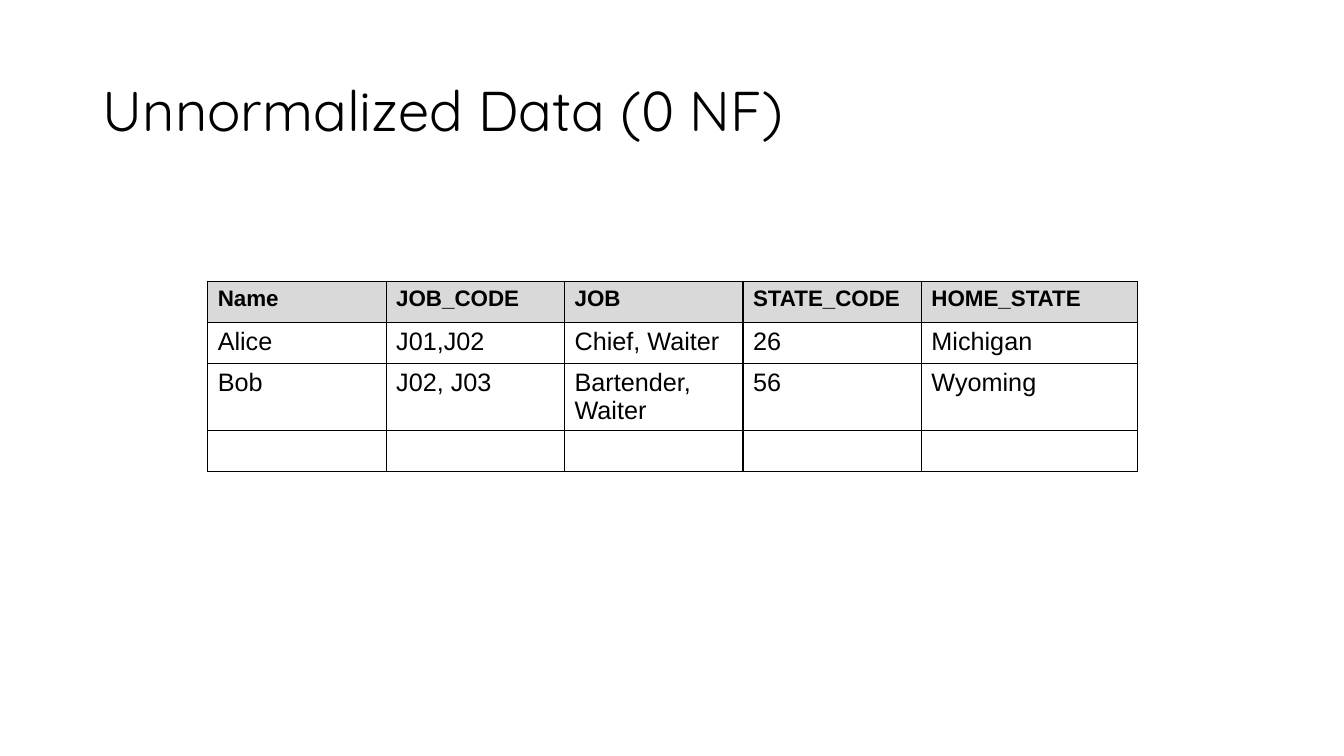
from lxml import etree
from pptx import Presentation
from pptx.dml.color import RGBColor
from pptx.enum import text
from pptx.oxml import ns
from pptx.util import Pt

PX = 9144  # 100 px to the inch
COLORS = {"ink": "000000", "head": "D9D9D9"}
COLS = [177, 177, 177, 177, 214]
ROWS = [41, 41, 66, 41]
DATA = [
    ["Name", "JOB_CODE", "JOB", "STATE_CODE", "HOME_STATE"],
    ["Alice", "J01,J02", "Chief, Waiter", "26", "Michigan"],
    ["Bob", "J02, J03", "Bartender, Waiter", "56", "Wyoming"],
    [""] * 5,
]


def px(*sizes):
    return [size * PX for size in sizes]


def color(name):
    return RGBColor.from_string(COLORS[name])


def style(font, face, size, bold=False):
    font.name, font.size, font.bold = face, Pt(size), bold
    font.color.rgb = color("ink")


def add_title(slide, words):
    title = slide.shapes.title
    title.left, title.top, title.width, title.height = px(92, 40, 945, 145)
    frame = title.text_frame
    frame.text = words
    frame.vertical_anchor = text.MSO_ANCHOR.MIDDLE
    par = frame.paragraphs[0]
    par.alignment = text.PP_ALIGN.LEFT
    par.line_spacing = 0.9
    style(par.runs[0].font, "Quicksand", 40)


def add_border(cell):
    props = cell._tc.get_or_add_tcPr()
    for side in ("lnL", "lnR", "lnT", "lnB"):
        line = etree.SubElement(props, ns.qn("a:" + side), w=str(Pt(1)))
        fill = etree.SubElement(line, ns.qn("a:solidFill"))
        etree.SubElement(fill, ns.qn("a:srgbClr"), val=COLORS["ink"])


def fill_cell(cell, words, head):
    add_border(cell)
    if head:
        cell.fill.solid()
        cell.fill.fore_color.rgb = color("head")
    else:
        cell.fill.background()
    cell.text_frame.text = words
    par = cell.text_frame.paragraphs[0]
    for run in par.runs:
        style(run.font, "Arial", 16 if head else 18, head)


def add_grid(slide):
    place = px(206, 279, sum(COLS), sum(ROWS))
    table = slide.shapes.add_table(len(ROWS), len(COLS), *place).table
    table.horz_banding = False
    for col, width in zip(table.columns, px(*COLS)):
        col.width = width
    for row, height in zip(table.rows, px(*ROWS)):
        row.height = height
    for i, line in enumerate(DATA):
        for j, words in enumerate(line):
            fill_cell(table.cell(i, j), words, i == 0)


def main():
    deck = Presentation()
    deck.slide_width, deck.slide_height = px(1333, 750)
    slide = deck.slides.add_slide(deck.slide_layouts[5])
    add_title(slide, "Unnormalized Data (0 NF)")
    add_grid(slide)
    deck.save("out.pptx")


if __name__ == "__main__":
    main()
